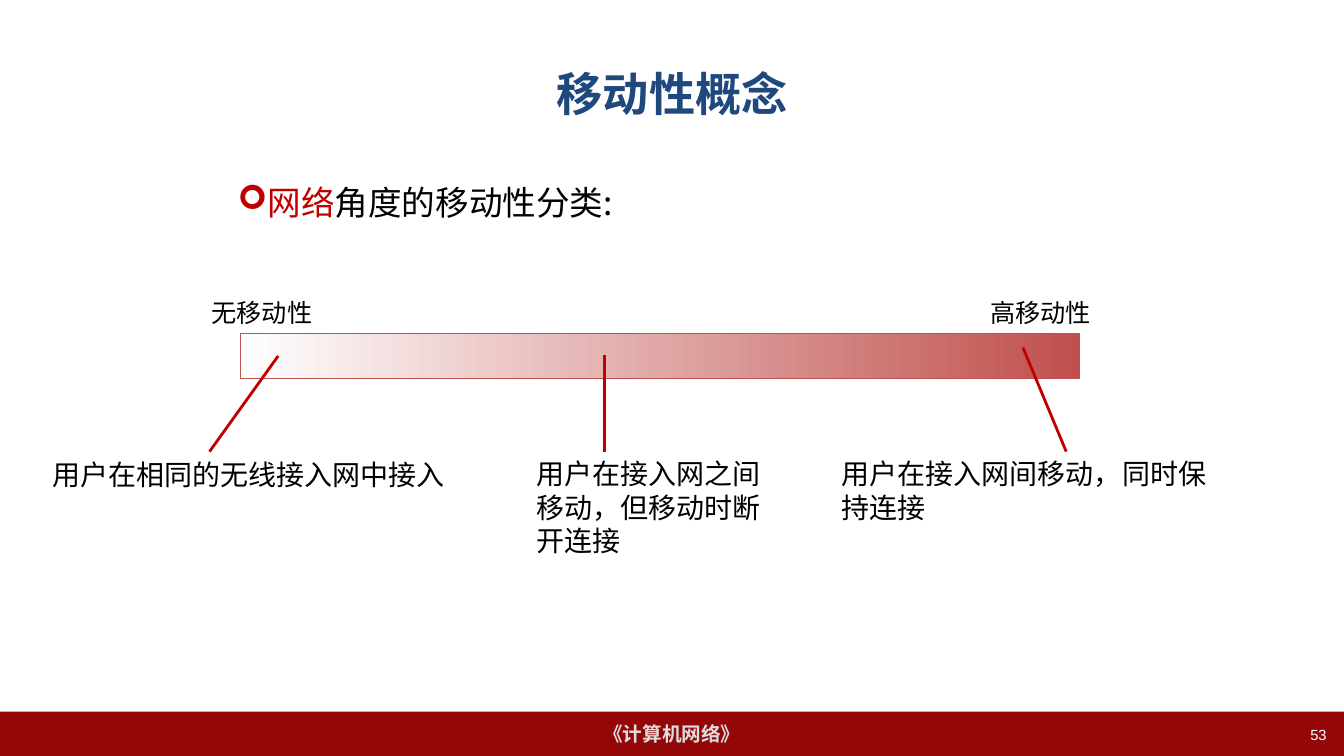
from lxml.etree import SubElement
from pptx import Presentation
from pptx.dml.color import RGBColor
from pptx.enum.shapes import MSO_CONNECTOR, MSO_SHAPE
from pptx.enum.text import MSO_ANCHOR, PP_ALIGN
from pptx.oxml.ns import qn
from pptx.util import Cm, Pt

FONT = "Noto Sans CJK SC"
BLACK, WHITE, RED = "000000", "FFFFFF", "C00000"
NAVY, MAROON, BRICK, SILVER = "1F497D", "940709", "C0504D", "DDDDDD"


def color(hex_code):
    return RGBColor.from_string(hex_code)


def format_run(run, size, hex_code, latin=FONT, bold=False):
    run.font.size = Pt(size)
    run.font.bold = bold
    run.font.color.rgb = color(hex_code)
    run.font.name = latin
    SubElement(run.font._element, qn("a:ea")).set("typeface", FONT)


def add_text(slide, box, text, size, hex_code=BLACK, latin=FONT, bold=False,
             align=PP_ALIGN.LEFT, anchor=MSO_ANCHOR.TOP, wrap=True):
    shape = slide.shapes.add_textbox(*map(Cm, box))
    frame = shape.text_frame
    frame.text = text
    frame.word_wrap = wrap
    frame.vertical_anchor = anchor
    paragraph = frame.paragraphs[0]
    paragraph.alignment = align
    format_run(paragraph.runs[0], size, hex_code, latin, bold)
    return paragraph


def add_bar(slide, box):
    shape = slide.shapes.add_shape(MSO_SHAPE.RECTANGLE, *map(Cm, box))
    shape.shadow.inherit = False
    return shape


def add_footer(slide):
    box = (0, 17.93, 33.87, 1.12)
    band = add_bar(slide, box)
    band.fill.solid()
    band.fill.fore_color.rgb = color(MAROON)
    band.line.fill.background()
    add_text(slide, box, "《计算机网络》", 14, SILVER, "Arial", True,
             PP_ALIGN.CENTER, MSO_ANCHOR.MIDDLE)
    add_text(slide, (25.78, 18.16, 7.9, 0.89), "53", 10.5, WHITE, "Arial",
             align=PP_ALIGN.RIGHT)


def add_bullet_heading(slide, box, keyword, rest):
    paragraph = add_text(slide, box, keyword, 24, RED)
    run = paragraph.add_run()
    run.text = rest
    format_run(run, 24, BLACK)
    # Arrow bullet with a hanging indent
    properties = paragraph._p.get_or_add_pPr()
    properties.set("marL", str(Cm(0.71)))
    properties.set("indent", str(-Cm(0.71)))
    SubElement(properties, qn("a:buFont")).set("typeface", "Wingdings")
    SubElement(properties, qn("a:buChar")).set("char", "➢")


def add_mobility_scale(slide, box):
    scale = add_bar(slide, box)
    scale.fill.gradient()
    scale.fill.gradient_angle = 0
    for stop, position, hex_code in zip(scale.fill.gradient_stops, (0, 1), (WHITE, BRICK)):
        stop.position = position
        stop.color.rgb = color(hex_code)
    scale.line.color.rgb = color(BRICK)
    scale.line.width = Pt(0.75)


def add_pointer(slide, start, end):
    line = slide.shapes.add_connector(MSO_CONNECTOR.STRAIGHT, *map(Cm, start + end))
    line.line.color.rgb = color(RED)
    line.line.width = Pt(2)
    SubElement(line._element.spPr, qn("a:effectLst"))


def main():
    presentation = Presentation()
    presentation.slide_width, presentation.slide_height = Cm(33.87), Cm(19.05)
    slide = presentation.slides.add_slide(presentation.slide_layouts[6])

    # Footer, title and heading
    add_footer(slide)
    add_text(slide, (1.7, 0.76, 30.48, 3.18), "移动性概念", 33, NAVY, "Arial", True,
             PP_ALIGN.CENTER, MSO_ANCHOR.MIDDLE)
    add_bullet_heading(slide, (5.74, 4.45, 22.78, 1.6), "网络", "角度的移动性分类:")

    # Scale from no mobility to high mobility
    add_mobility_scale(slide, (6.05, 8.41, 21.16, 1.12))
    for left, label in ((5.08, "无移动性"), (24.71, "高移动性")):
        add_text(slide, (left, 7.37, 3.07, 1.02), label, 18, wrap=False)

    # Explanations, each with a pointer to the scale
    explanations = (
        ((1.07, 11.4, 10.49, 1.12), "用户在相同的无线接入网中接入", False, (5.28, 11.38), (7.01, 8.97)),
        ((13.26, 11.38, 6.76, 2.82), "用户在接入网之间移动，但移动时断开连接", True, (15.24, 11.38), (15.24, 8.94)),
        ((20.96, 11.38, 9.75, 1.96), "用户在接入网间移动，同时保持连接", True, (26.87, 11.38), (25.78, 8.76)),
    )
    for box, text, wrap, start, end in explanations:
        add_text(slide, box, text, 20, wrap=wrap)
        add_pointer(slide, start, end)

    presentation.save("out.pptx")


if __name__ == "__main__":
    main()
